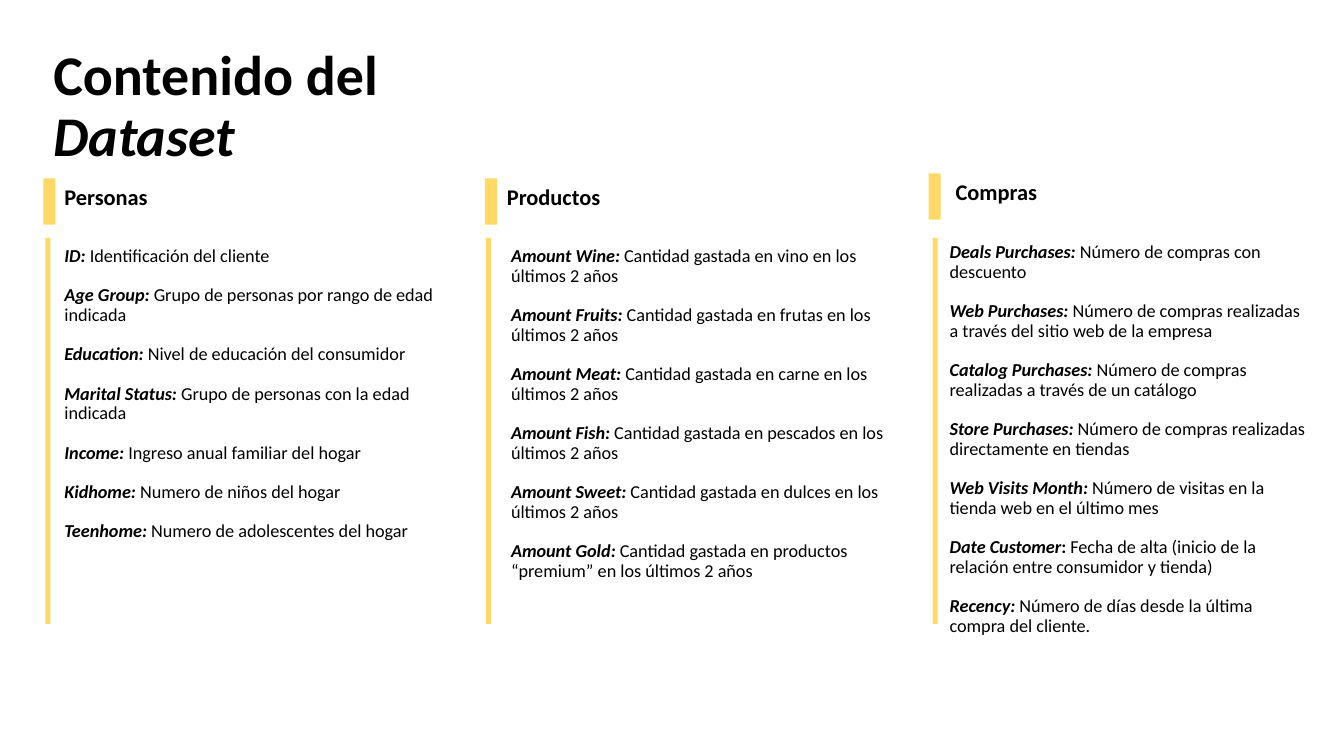
from dataclasses import dataclass

from pptx import Presentation
from pptx.dml.color import RGBColor as Rgb
from pptx.enum.shapes import MSO_SHAPE as Preset
from pptx.slide import Slide
from pptx.text.text import TextFrame, _Paragraph as Paragraph
from pptx.util import Emu, Pt

EMU_PER_PX = 9144


@dataclass(frozen=True)
class Theme:
    font: str = "Calibri"
    ink: Rgb = Rgb(0, 0, 0)
    accent: Rgb = Rgb(0xFF, 0xD9, 0x66)
    title_size: int = 40
    heading_size: int = 16
    body_size: int = 13
    entry_gap: int = 14
    line_spacing: float = 0.9


@dataclass(frozen=True)
class Box:
    left: int
    top: int
    width: int
    height: int

    def emu(self) -> tuple[Emu, ...]:
        sides = (self.left, self.top, self.width, self.height)
        return tuple(Emu(side * EMU_PER_PX) for side in sides)


@dataclass(frozen=True)
class Entry:
    term: str
    meaning: str
    italic_colon: bool = True


@dataclass(frozen=True)
class Column:
    heading: str
    marker: Box
    heading_left: int
    rule_left: int
    body: Box
    entries: tuple[Entry, ...]


THEME = Theme()
RULE_TOP, RULE_WIDTH, RULE_HEIGHT = 236, 5, 383
HEADING_WIDTH, HEADING_HEIGHT = 280, 37

COLUMNS = (
    Column("Personas", Box(43, 177, 12, 46), 54, 45, Box(54, 240, 405, 428), (
        Entry("ID", "Identificación del cliente"),
        Entry("Age Group", "Grupo de personas por rango de edad indicada"),
        Entry("Education", "Nivel de educación del consumidor"),
        Entry("Marital Status", "Grupo de personas con la edad indicada"),
        Entry("Income", "Ingreso anual familiar del hogar"),
        Entry("Kidhome", "Numero de niños del hogar"),
        Entry("Teenhome", "Numero de adolescentes del hogar"),
    )),
    Column("Productos", Box(481, 177, 12, 46), 493, 482, Box(497, 240, 405, 415), (
        Entry("Amount Wine", "Cantidad gastada en vino en los últimos 2 años"),
        Entry("Amount Fruits", "Cantidad gastada en frutas en los últimos 2 años"),
        Entry("Amount Meat", "Cantidad gastada en carne en los últimos 2 años"),
        Entry("Amount Fish", "Cantidad gastada en pescados en los últimos 2 años"),
        Entry("Amount Sweet", "Cantidad gastada en dulces en los últimos 2 años"),
        Entry("Amount Gold", "Cantidad gastada en productos “premium” en los últimos 2 años"),
    )),
    Column("Compras", Box(921, 172, 12, 46), 938, 925, Box(932, 236, 372, 428), (
        Entry("Deals Purchases", "Número de compras con descuento"),
        Entry("Web Purchases", "Número de compras realizadas a través del sitio web de la empresa"),
        Entry("Catalog Purchases", "Número de compras realizadas a través de un catálogo"),
        Entry("Store Purchases", "Número de compras realizadas directamente en tiendas"),
        Entry("Web Visits Month", "Número de visitas en la tienda web en el último mes"),
        Entry("Date Customer", "Fecha de alta (inicio de la relación entre consumidor y tienda)", False),
        Entry("Recency", "Número de días desde la última compra del cliente."),
    )),
)


def add_bar(slide: Slide, box: Box) -> None:
    bar = slide.shapes.add_shape(Preset.RECTANGLE, *box.emu())
    bar.shadow.inherit = False
    bar.fill.solid()
    bar.fill.fore_color.rgb = THEME.accent
    bar.line.fill.background()


def add_frame(slide: Slide, box: Box) -> TextFrame:
    frame = slide.shapes.add_textbox(*box.emu()).text_frame
    frame.word_wrap = True
    return frame


def add_run(paragraph: Paragraph, text: str, size: int,
            bold: bool = False, italic: bool = False) -> None:
    run = paragraph.add_run()
    run.text = text
    run.font.name = THEME.font
    run.font.size = Pt(size)
    run.font.color.rgb = THEME.ink
    run.font.bold = bold
    run.font.italic = italic


def add_title(slide: Slide) -> None:
    title = add_frame(slide, Box(43, 42, 525, 80)).paragraphs[0]
    title.line_spacing = THEME.line_spacing
    add_run(title, "Contenido del ", THEME.title_size, bold=True)
    add_run(title, "Dataset", THEME.title_size, bold=True, italic=True)


def add_entry(paragraph: Paragraph, entry: Entry) -> None:
    paragraph.line_spacing = THEME.line_spacing
    size = THEME.body_size
    if entry.italic_colon:
        add_run(paragraph, f"{entry.term}: ", size, bold=True, italic=True)
    else:
        add_run(paragraph, entry.term, size, bold=True, italic=True)
        add_run(paragraph, ": ", size, bold=True)
    add_run(paragraph, entry.meaning, size)


def add_column(slide: Slide, column: Column) -> None:
    add_bar(slide, column.marker)
    add_bar(slide, Box(column.rule_left, RULE_TOP, RULE_WIDTH, RULE_HEIGHT))
    heading_box = Box(column.heading_left, column.marker.top, HEADING_WIDTH, HEADING_HEIGHT)
    heading = add_frame(slide, heading_box).paragraphs[0]
    add_run(heading, column.heading, THEME.heading_size, bold=True)
    body = add_frame(slide, column.body)
    for index, entry in enumerate(column.entries):
        paragraph = body.add_paragraph() if index else body.paragraphs[0]
        if index:
            paragraph.space_before = Pt(THEME.entry_gap)
        add_entry(paragraph, entry)


def main() -> None:
    deck = Presentation()
    deck.slide_width = Emu(1333 * EMU_PER_PX)
    deck.slide_height = Emu(750 * EMU_PER_PX)
    slide = deck.slides.add_slide(deck.slide_layouts[6])
    add_title(slide)
    for column in COLUMNS:
        add_column(slide, column)
    deck.save("out.pptx")


if __name__ == "__main__":
    main()
